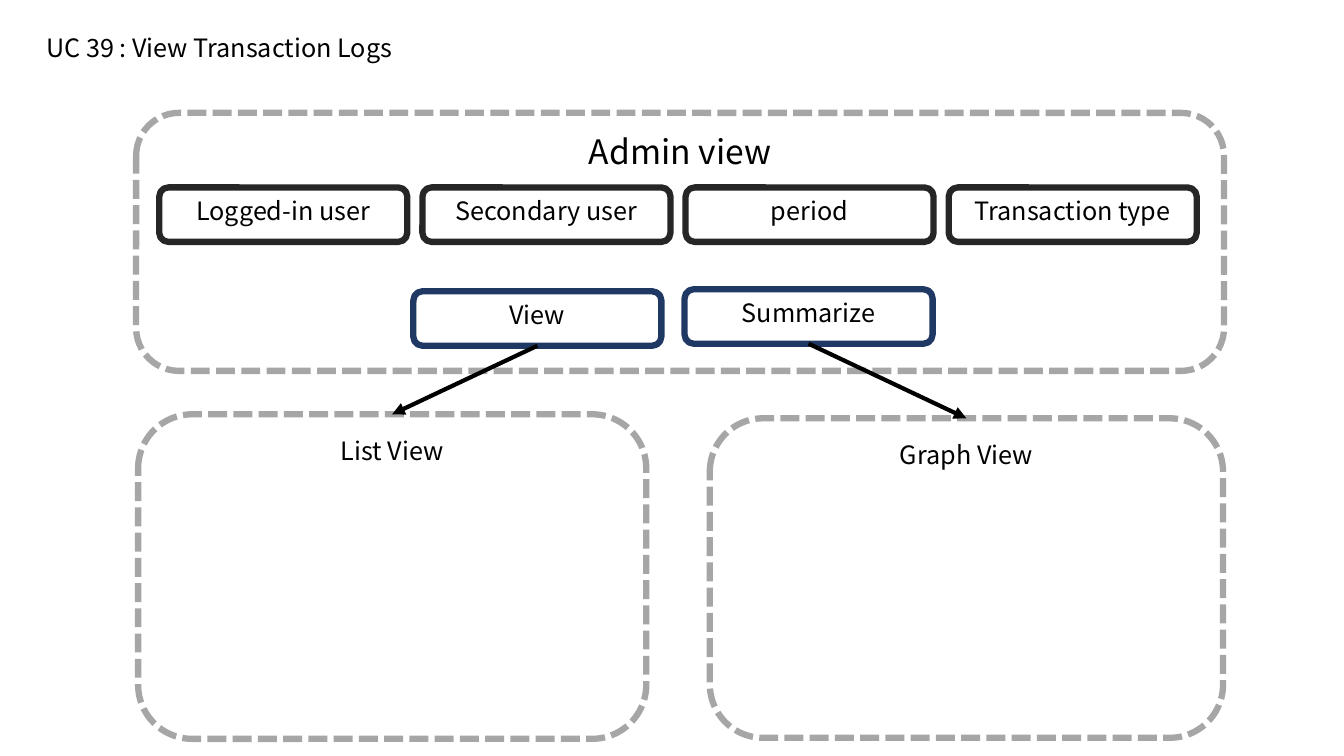
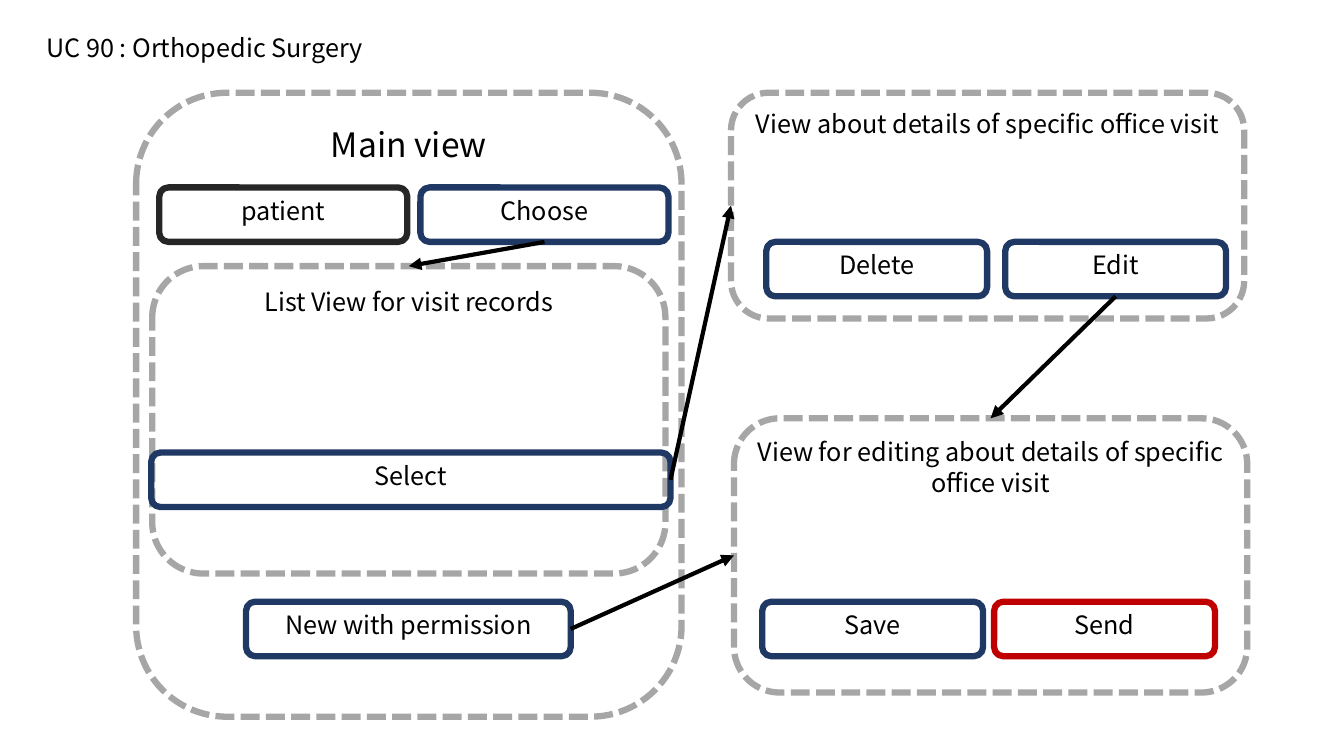
"""Build two use-case wireframe slides with panels, fields, buttons and flow arrows."""
import pptx
import pptx.dml.color
import pptx.enum.dml
import pptx.enum.shapes
import pptx.enum.text
import pptx.util
from lxml import etree
from pptx.util import Inches

COLORS = {
    "text": "000000",
    "panel": "A6A6A6",
    "field": "262626",
    "button": "203864",
    "alert": "C00000",
    "arrow": "000000",
}
FONT = {"name": "Noto Sans CJK KR", "bold": False}
FRAME = {"word_wrap": True, "vertical_anchor": pptx.enum.text.MSO_ANCHOR.TOP}
TITLE_BOX = {"left": 0.36, "top": 0.27, "width": 5.68, "height": 0.4}
BUTTON_HEIGHT = 0.54
FIELD_WIDTH = 2.46
ACTION_WIDTH = 2.19
FIELD_LEFT, FIELD_TOP, FIELD_PITCH = 1.58, 1.86, 2.61
TOP, LEFT, BOTTOM, RIGHT = range(4)


def color(name):
    return pptx.dml.color.RGBColor.from_string(COLORS[name])


def write_text(shape, text, size, alignment):
    frame = shape.text_frame
    frame.text = text
    for name, value in FRAME.items():
        setattr(frame, name, value)
    paragraph = frame.paragraphs[0]
    paragraph.alignment = alignment
    font = paragraph.runs[0].font
    for name, value in {**FONT, "size": pptx.util.Pt(size)}.items():
        setattr(font, name, value)
    font.color.rgb = color("text")


def add_titled_slide(presentation, title):
    slide = presentation.slides.add_slide(presentation.slide_layouts[5])
    shape = slide.shapes.title
    for name, value in TITLE_BOX.items():
        setattr(shape, name, Inches(value))
    write_text(shape, title, 18, pptx.enum.text.PP_ALIGN.LEFT)
    shape.text_frame.auto_size = pptx.enum.text.MSO_AUTO_SIZE.NONE
    return slide


def add_box(slide, text, left, top, width, height, kind, size=18):
    shape = slide.shapes.add_shape(
        pptx.enum.shapes.MSO_SHAPE.ROUNDED_RECTANGLE,
        Inches(left), Inches(top), Inches(width), Inches(height))
    shape.shadow.inherit = False
    shape.fill.background()
    shape.line.color.rgb = color(kind)
    shape.line.width = pptx.util.Pt(4.5)
    write_text(shape, text, size, pptx.enum.text.PP_ALIGN.CENTER)
    return shape


def add_panel(slide, text, left, top, width, height, size=18):
    shape = add_box(slide, text, left, top, width, height, "panel", size)
    shape.line.dash_style = pptx.enum.dml.MSO_LINE.SQUARE_DOT
    return shape


def add_button(slide, text, left, top, width, kind="button"):
    return add_box(slide, text, left, top, width, BUTTON_HEIGHT, kind)


def add_arrow(slide, source, source_side, target, target_side):
    connector = slide.shapes.add_connector(
        pptx.enum.shapes.MSO_CONNECTOR.STRAIGHT, 0, 0, 0, 0)
    connector.begin_connect(source, source_side)
    connector.end_connect(target, target_side)
    connector.line.color.rgb = color("arrow")
    connector.line.width = pptx.util.Pt(3)
    namespace = pptx.oxml.ns.qn
    line = connector.line._get_or_add_ln()
    etree.SubElement(line, namespace("a:tailEnd"), type="triangle")
    etree.SubElement(connector._element.spPr, namespace("a:effectLst"))


def build_transaction_logs(presentation):
    slide = add_titled_slide(presentation, "UC 39 : View Transaction Logs")
    add_panel(slide, "Admin view", 1.35, 1.12, 10.79, 2.56, 24)
    filters = ["Logged-in user", "Secondary user", "period", "Transaction type"]
    for index, label in enumerate(filters):
        left = FIELD_LEFT + index * FIELD_PITCH
        add_button(slide, label, left, FIELD_TOP, FIELD_WIDTH, "field")
    view = add_button(slide, "View", 4.1, 2.89, FIELD_WIDTH)
    summarize = add_button(slide, "Summarize", 6.79, 2.87, FIELD_WIDTH)
    list_view = add_panel(slide, "List View", 1.37, 4.11, 5.04, 3.22)
    graph_view = add_panel(slide, "Graph View", 7.04, 4.15, 5.09, 3.17)
    add_arrow(slide, view, BOTTOM, list_view, TOP)
    add_arrow(slide, summarize, BOTTOM, graph_view, TOP)


def build_orthopedic_surgery(presentation):
    slide = add_titled_slide(presentation, "UC 90 : Orthopedic Surgery")
    add_panel(slide, "Main view", 1.35, 0.92, 5.41, 6.19, 24)
    add_button(slide, "patient", FIELD_LEFT, FIELD_TOP, FIELD_WIDTH, "field")
    choose = add_button(slide, "Choose", 4.17, FIELD_TOP, FIELD_WIDTH)
    details = add_panel(slide, "View about details of specific office visit",
                        7.25, 0.92, 5.09, 2.24)
    records = add_panel(slide, "List View for visit records", 1.51, 2.64, 5.09, 3.05)
    select = add_button(slide, "Select", 1.5, 4.49, 5.15)
    add_button(slide, "Delete", 7.6, 2.4, ACTION_WIDTH)
    edit = add_button(slide, "Edit", 9.97, 2.4, ACTION_WIDTH)
    editor = add_panel(slide, "View for editing about details of specific office visit",
                       7.28, 4.15, 5.09, 2.72)
    add_button(slide, "Save", 7.56, 5.97, ACTION_WIDTH)
    add_button(slide, "Send", 9.86, 5.97, ACTION_WIDTH, "alert")
    new_record = add_button(slide, "New with permission", 2.44, 5.97, 3.22)
    add_arrow(slide, choose, BOTTOM, records, TOP)
    add_arrow(slide, select, RIGHT, details, LEFT)
    add_arrow(slide, edit, BOTTOM, editor, TOP)
    add_arrow(slide, new_record, RIGHT, editor, LEFT)


def main():
    presentation = pptx.Presentation()
    presentation.slide_width = Inches(13.33)
    presentation.slide_height = Inches(7.5)
    build_transaction_logs(presentation)
    build_orthopedic_surgery(presentation)
    presentation.save("out.pptx")


main()
